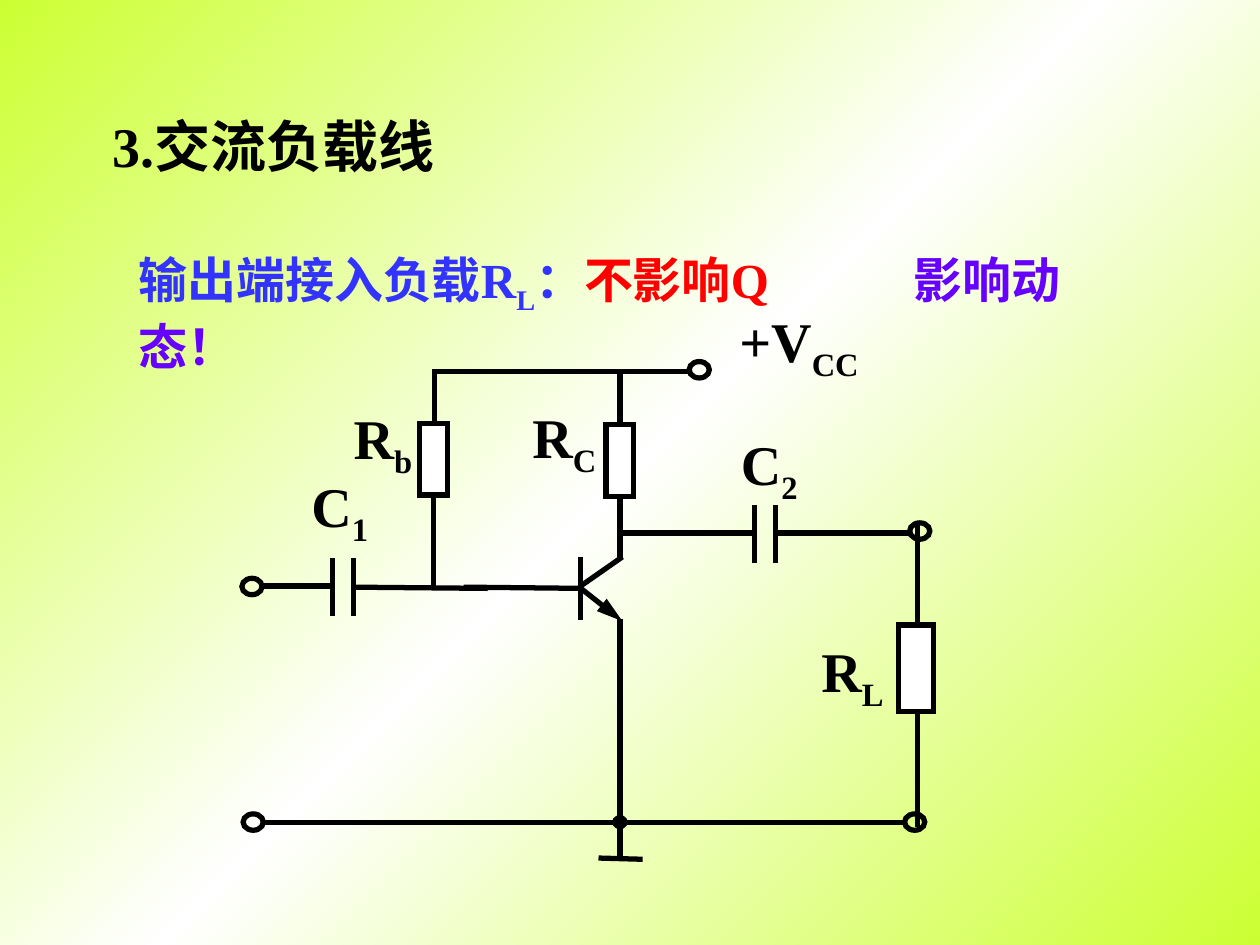
import copy
import pptx
import pptx.util
import pptx.dml.color
import pptx.enum.shapes
import pptx.enum.text
import pptx.oxml

COLS, ROWS = 100, 75          # grid of the slide, one cell is 0.1 inch
CELL = pptx.util.Inches(0.1)
FONT = "Times New Roman"
BLACK, WHITE, LIME = "000000", "FFFFFF", "CCFF33"
BLUE, RED, VIOLET = "3333FF", "FF0000", "6600FF"
NS = 'xmlns:a="http://schemas.openxmlformats.org/drawingml/2006/main"'
MIDDLE = pptx.enum.text.MSO_ANCHOR.MIDDLE
TOP = pptx.enum.text.MSO_ANCHOR.TOP
LEFT = pptx.enum.text.PP_ALIGN.LEFT
CENTER = pptx.enum.text.PP_ALIGN.CENTER
RECT = pptx.enum.shapes.MSO_SHAPE.RECTANGLE
OVAL = pptx.enum.shapes.MSO_SHAPE.OVAL


def rgb(value):
    return pptx.dml.color.RGBColor.from_string(value)


def grid(*cells):
    return [round(c * CELL) for c in cells]


def xml(tag, attributes="", content=""):
    return pptx.oxml.parse_xml(f"<a:{tag} {NS} {attributes}>{content}</a:{tag}>")


def paint_background(s):
    fill = s.background.fill
    fill.gradient()
    fill.gradient_angle = 315
    first = fill.gradient_stops[0]._gs
    first.addnext(copy.deepcopy(first))
    for stop, (pos, color) in zip(fill.gradient_stops,
                                  [(0, LIME), (0.5, WHITE), (1, LIME)]):
        stop.position = pos
        stop.color.rgb = rgb(color)


def add_run(p, text, size=32, color=BLACK, sub=False):
    r = p.add_run()
    r.text = text
    r.font.name, r.font.size, r.font.bold = FONT, pptx.util.Pt(size), True
    r.font.color.rgb = rgb(color)
    if sub:
        r._r.get_or_add_rPr().set("baseline", "-25000")


def frame(sp, box, anchor=MIDDLE, align=LEFT, wrap=False):
    """Place a text shape and return its first paragraph."""
    sp.left, sp.top, sp.width, sp.height = grid(*box)
    tf = sp.text_frame
    tf.auto_size = pptx.enum.text.MSO_AUTO_SIZE.NONE
    tf.word_wrap, tf.vertical_anchor = wrap, anchor
    p = tf.paragraphs[0]
    p.alignment = align
    return p


def add_label(s, name, sub, box, **layout):
    p = frame(s.shapes.add_textbox(*grid(*box)), box, **layout)
    add_run(p, name)
    add_run(p, sub, sub=True)


def set_stroke(sp):
    sp.line.color.rgb, sp.line.width = rgb(BLACK), pptx.util.Pt(3)
    ln = sp.line._get_or_add_ln()
    ln.append(xml("miter", 'lim="800000"'))
    return ln


def add_wire(s, x1, y1, x2, y2, arrow=False):
    kind = pptx.enum.shapes.MSO_CONNECTOR.STRAIGHT
    sp = s.shapes.add_connector(kind, *grid(x1, y1, x2, y2))
    ln = set_stroke(sp)
    if arrow:
        ln.append(xml("tailEnd", 'type="triangle" w="med" len="lg"'))
    sp._element.spPr.append(xml("effectLst"))


def add_part(s, kind, x, y, w, h, fill=None):
    sp = s.shapes.add_shape(kind, *grid(x, y, w, h))
    sp.shadow.inherit = False
    if fill:
        sp.fill.solid()
        sp.fill.fore_color.rgb = rgb(fill)
    else:
        sp.fill.background()
    set_stroke(sp)


def add_capacitor(s, x, y, gap=1.65, height=4.6):
    for plate in (x, x + gap):
        add_wire(s, plate, y, plate, y + height)


def draw_wires(s):
    # Supply rail, base bias and collector branches
    add_wire(s, 34.5, 29.5, 49, 29.5)
    add_wire(s, 49, 29.5, 54.6, 29.5)
    add_wire(s, 34.5, 34, 34.5, 29.3)
    add_wire(s, 34.4, 39.3, 34.4, 46.5)
    add_wire(s, 49.2, 33.7, 49.2, 29.4)
    add_wire(s, 49.2, 36.2, 49.2, 44.4)
    # Input path to the base
    add_wire(s, 20.9, 46.5, 26.3, 46.5)
    add_wire(s, 27.9, 46.6, 38.7, 46.7)
    add_wire(s, 36.8, 46.6, 46.3, 46.7)
    # Transistor
    add_wire(s, 46.1, 44.2, 46.1, 49.2)
    add_wire(s, 46.1, 46.5, 49.4, 44.2)
    add_wire(s, 46.1, 46.7, 49.4, 49.3, arrow=True)
    # Emitter to ground
    add_wire(s, 49.2, 49.1, 49.2, 58.4)
    add_wire(s, 49.2, 56.5, 49.2, 65.5)
    add_wire(s, 49.2, 65.4, 49.2, 68.3)
    add_wire(s, 47.5, 68.1, 51, 68.2)
    # Common line
    add_wire(s, 21, 65.3, 61.1, 65.3)
    add_wire(s, 47.5, 65.3, 71.9, 65.3)
    # Output path and load branch
    add_wire(s, 49.2, 42.3, 59.9, 42.3)
    add_wire(s, 61.4, 42.3, 72.3, 42.3)
    add_wire(s, 72.8, 41.7, 72.8, 65.6)


def draw_parts(s):
    add_capacitor(s, 26.4, 44.3)
    add_capacitor(s, 59.9, 40.1)
    # Resistors
    for x, y, w, h in [(33.3, 33.6, 2.2, 5.7), (48.1, 33.7, 2.2, 5.7),
                       (71.3, 49.6, 2.8, 6.9)]:
        add_part(s, RECT, x, y, w, h, fill=WHITE)
    # Terminals
    for x, y in [(54.7, 28.7), (19.2, 45.9), (19.3, 64.6),
                 (72.2, 41.5), (71.8, 64.6)]:
        add_part(s, OVAL, x, y, 1.6, 1.3)
    # Ground junction
    add_part(s, OVAL, 48.8, 64.9, 0.8, 0.7, fill=BLACK)


def draw_labels(s):
    for name, sub, x, y, w in [("R", "b", 27.1, 31.5, 6.6),
                               ("R", "C", 41.3, 31.4, 7),
                               ("C", "1", 23.7, 36.9, 6.5),
                               ("C", "2", 57.8, 33.6, 6.5)]:
        add_label(s, name, sub, (x, y, w, 7.1), align=CENTER)
    add_label(s, "+V", "CC", (57.7, 23.8, 11.4, 7.1))
    add_label(s, "R", "L", (64.2, 50, 8.3, 7.1), anchor=TOP, wrap=True)


def write_statement(s):
    box = (10, 19.3, 82.5, 6.3)
    sp = s.shapes.add_textbox(*grid(*box))
    p = frame(sp, box, anchor=TOP, wrap=True)
    sp.text_frame.margin_right = grid(7.5)[0]
    tab = grid(61.5)[0]
    p._p.get_or_add_pPr().append(
        xml("tabLst", content=f'<a:tab pos="{tab}" algn="l"/>'))
    for text, color, sub in [("输出端接入负载R", BLUE, False),
                             ("L", BLUE, True),
                             ("：", BLUE, False),
                             ("不影响Q\t", RED, False),
                             ("影响动态！", VIOLET, False)]:
        add_run(p, text, size=28, color=color, sub=sub)


def main():
    prs = pptx.Presentation()
    prs.slide_width, prs.slide_height = grid(COLS, ROWS)
    s = prs.slides.add_slide(prs.slide_layouts[5])
    paint_background(s)
    # The title box leaves room for the whole heading on one line
    add_run(frame(s.shapes.title, (7.9, 8.3, 32, 6.4)), "3.交流负载线")
    draw_wires(s)
    draw_parts(s)
    draw_labels(s)
    write_statement(s)
    prs.save("out.pptx")


if __name__ == "__main__":
    main()
